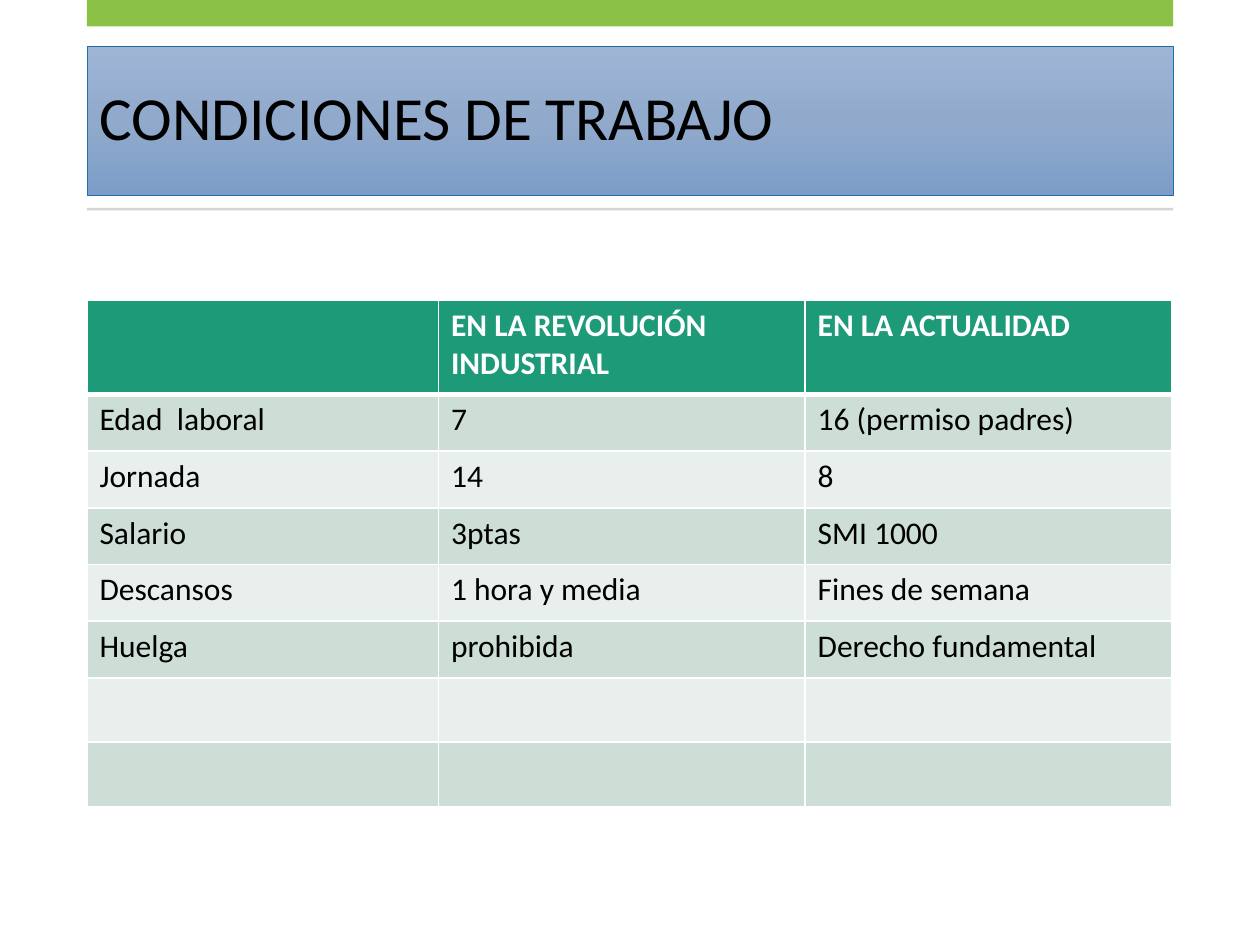
import copy
import dataclasses

import lxml.etree
import pptx
import pptx.dml.color
import pptx.enum.dml
import pptx.enum.shapes
import pptx.enum.text
import pptx.oxml.ns
import pptx.util

Inches = pptx.util.Inches
Pt = pptx.util.Pt


@dataclasses.dataclass(frozen=True)
class Theme:
    font: str = "Calibri"
    ink: str = "000000"
    white: str = "FFFFFF"
    green: str = "8BC145"
    rule: str = "D5D5D5"
    edge: str = "1D6FA9"
    blend: tuple = ((0, "9EB5D6"), (0.5, "91AACC"), (1, "7D9DC8"))
    head: str = "1D9A78"
    bands: tuple = ("CDDED6", "E8EFEC")
    title: int = 35
    body: int = 18
    thin: int = 1
    thick: int = 3


THEME = Theme()
LEFT, WIDTH = 0.69, 8.62
COLS = (2.79, 2.91, 2.91)
ROWS = (0.75,) + (0.45,) * 5 + (0.51,) * 2
CELLS = (
    ("", "EN LA REVOLUCIÓN INDUSTRIAL", "EN LA ACTUALIDAD"),
    ("Edad  laboral", "7", "16 (permiso padres)"),
    ("Jornada", "14", "8"),
    ("Salario", "3ptas", "SMI 1000"),
    ("Descansos", "1 hora y media", "Fines de semana"),
    ("Huelga", "prohibida", "Derecho fundamental"),
    ("",) * 3,
    ("",) * 3,
)


def rgb(code):
    return pptx.dml.color.RGBColor.from_string(code)


def apply(item, values):
    for name, value in values.items():
        setattr(item, name, value)


def paint(item, color):
    item.fill.solid()
    item.fill.fore_color.rgb = rgb(color)


def style(font, size, color, bold=False):
    apply(font, {"name": THEME.font, "size": Pt(size), "bold": bold})
    font.color.rgb = rgb(color)


def place(item, box):
    names = ("left", "top", "width", "height")
    apply(item, dict(zip(names, map(Inches, box))))


def blend(shape):
    """Fill the shape with the theme's three-stop vertical gradient."""
    shape.fill.gradient()
    shape.fill.gradient_angle = 270
    stops = shape.element.xpath(".//a:gsLst")[0]
    stops.insert(1, copy.deepcopy(stops[0]))
    for stop, (spot, color) in zip(shape.fill.gradient_stops, THEME.blend):
        stop.position = spot
        stop.color.rgb = rgb(color)


def add_title(slide, box, text):
    title = slide.shapes.title
    place(title, box)
    blend(title)
    title.line.width = Pt(0.5)
    title.line.color.rgb = rgb(THEME.edge)
    frame = title.text_frame
    frame.text = text
    apply(frame, {
        "word_wrap": True,
        "auto_size": pptx.enum.text.MSO_AUTO_SIZE.NONE,
        "vertical_anchor": pptx.enum.text.MSO_ANCHOR.MIDDLE,
    })
    para = frame.paragraphs[0]
    apply(para, {"alignment": pptx.enum.text.PP_ALIGN.LEFT,
                 "line_spacing": 0.9})
    style(para.runs[0].font, THEME.title, THEME.ink)


def add_bar(slide, box, color):
    kind = pptx.enum.shapes.MSO_SHAPE.RECTANGLE
    bar = slide.shapes.add_shape(kind, *map(Inches, box))
    bar.shadow.inherit = False
    paint(bar, color)
    bar.line.fill.background()


def add_edges(cell, widths):
    """Draw white borders; the schema wants them ahead of the fill."""
    qn = pptx.oxml.ns.qn
    props = cell._tc.get_or_add_tcPr()
    for spot, (side, width) in enumerate(widths.items()):
        line = lxml.etree.Element(qn("a:ln" + side), w=str(Pt(width)))
        solid = lxml.etree.SubElement(line, qn("a:solidFill"))
        lxml.etree.SubElement(solid, qn("a:srgbClr"), val=THEME.white)
        props.insert(spot, line)


def fill_cell(cell, text, row):
    head = row == 0
    paint(cell, THEME.head if head else THEME.bands[(row - 1) % 2])
    para = cell.text_frame.paragraphs[0]
    style(para.font, THEME.body, THEME.white if head else THEME.ink, head)
    if text:
        run = para.add_run()
        run.text = text
        style(run.font, THEME.body, THEME.white if head else THEME.ink, head)
    widths = dict.fromkeys("LRTB", THEME.thin)
    if head:
        widths["B"] = THEME.thick
    elif row == 1:
        widths["T"] = THEME.thick
    add_edges(cell, widths)


def add_grid(slide, box):
    frame = slide.shapes.add_table(len(ROWS), len(COLS), *map(Inches, box))
    table = frame.table
    for col, width in zip(table.columns, COLS):
        col.width = Inches(width)
    for row, height in zip(table.rows, ROWS):
        row.height = Inches(height)
    for row, texts in enumerate(CELLS):
        for col, text in enumerate(texts):
            fill_cell(table.cell(row, col), text, row)


def main():
    deck = pptx.Presentation()
    apply(deck, {"slide_width": Inches(10), "slide_height": Inches(7.5)})
    slide = deck.slides.add_slide(deck.slide_layouts[5])
    add_title(slide, (LEFT, 0.37, WIDTH, 1.18), "CONDICIONES DE TRABAJO")
    add_bar(slide, (LEFT, 0, WIDTH, 0.21), THEME.green)
    add_bar(slide, (LEFT, 1.65, WIDTH, 0.02), THEME.rule)
    add_grid(slide, (LEFT, 2.38, WIDTH, sum(ROWS)))
    deck.save("out.pptx")


if __name__ == "__main__":
    main()
